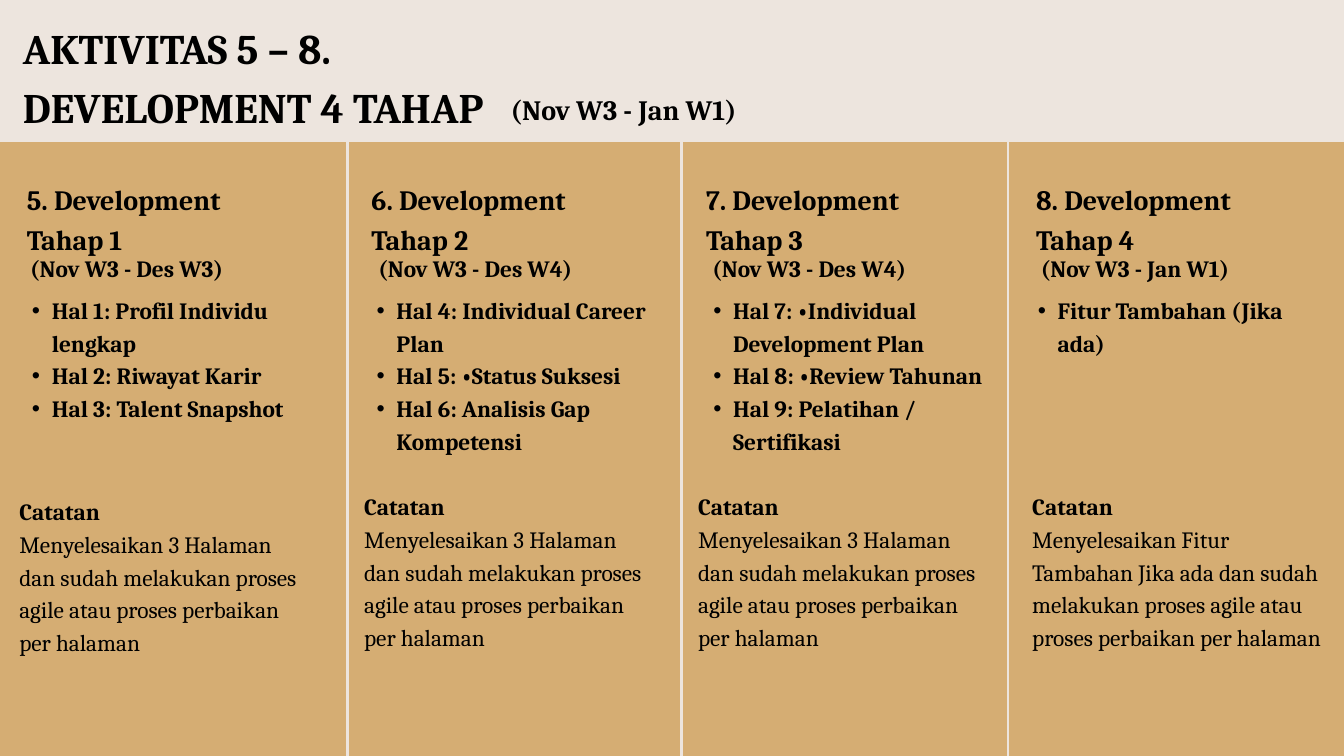
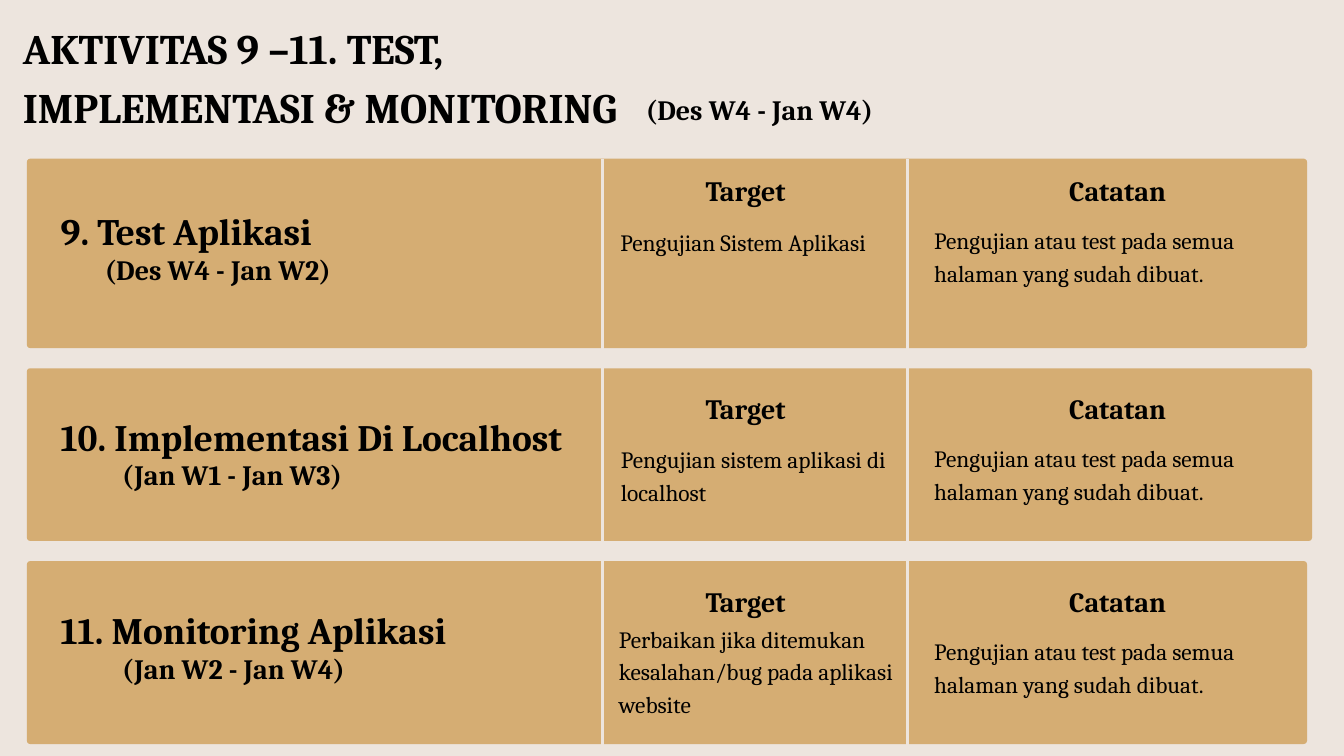
from dataclasses import dataclass
from lxml.etree import SubElement
from pptx import Presentation
from pptx.dml.color import RGBColor
from pptx.enum.shapes import MSO_CONNECTOR, MSO_SHAPE
from pptx.enum.text import MSO_ANCHOR, MSO_AUTO_SIZE, PP_ALIGN
from pptx.oxml.ns import qn
from pptx.util import Pt


# Colours and type sizes, shared by both slides
@dataclass(frozen=True)
class Theme:
    font: str = "Cambria"
    ink: str = "000000"
    sand: str = "D5AD73"
    cream: str = "EDE5DE"
    title: int = 45
    name: int = 40
    head: int = 30
    body: int = 25
    lead: float = 1.4  # line height relative to type size
    rule: int = 3


WIDE, HIGH = 1440, 810
BAND = 152


class Deck:
    def __init__(self, theme):
        self.theme = theme
        self.prs = Presentation()
        self.prs.slide_width, self.prs.slide_height = Pt(WIDE), Pt(HIGH)
        self.slide = None

    def start(self, back):
        self.slide = self.prs.slides.add_slide(self.prs.slide_layouts[5])
        fill = self.slide.background.fill
        fill.solid()
        fill.fore_color.rgb = RGBColor.from_string(back)

    def place(self, shape, x, y, w, h):
        shape.left, shape.top, shape.width, shape.height = Pt(x), Pt(y), Pt(w), Pt(h)

    def frame(self, shape):
        box = shape.text_frame
        box.word_wrap = True
        box.auto_size = MSO_AUTO_SIZE.NONE
        box.vertical_anchor = MSO_ANCHOR.TOP
        box.margin_left = box.margin_right = box.margin_top = box.margin_bottom = 0
        return box

    def add_text(self, para, text, size, bold=True, align=PP_ALIGN.LEFT):
        para.alignment = align
        para.line_spacing = Pt(size * self.theme.lead)
        para.space_before = Pt(0)
        run = para.add_run()
        run.text = text
        font = run.font
        font.name, font.size, font.bold = self.theme.font, Pt(size), bold
        font.color.rgb = RGBColor.from_string(self.theme.ink)

    def title(self, text, width, time, x):
        shape = self.slide.shapes.title
        self.place(shape, 24.5, 15, width, 125)
        self.add_text(self.frame(shape).paragraphs[0], text, self.theme.title)
        self.slide.shapes.element.append(shape.element)  # bring to front
        self.text(x, 93, 270, time, self.theme.head)

    def box(self, x, y, w, h):
        return self.frame(self.slide.shapes.add_textbox(Pt(x), Pt(y), Pt(w), Pt(h)))

    def text(self, x, y, w, text, size, bold=True, align=PP_ALIGN.LEFT, lines=1):
        box = self.box(x, y, w, lines * size * self.theme.lead)
        self.add_text(box.paragraphs[0], text, size, bold, align)

    def bullets(self, x, y, w, h, items):
        box = self.box(x, y, w, h)
        for i, item in enumerate(items):
            para = box.add_paragraph() if i else box.paragraphs[0]
            para.level = 1
            self.add_text(para, item, self.theme.body)
            props = para._p.get_or_add_pPr()
            props.set("marL", str(Pt(42.5)))
            props.set("indent", str(Pt(-21.25)))
            SubElement(props, qn("a:buFont")).set("typeface", "Arial")
            SubElement(props, qn("a:buChar")).set("char", "•")

    def note(self, x, y, w, h, head, text):
        box = self.box(x, y, w, h)
        self.add_text(box.paragraphs[0], head, self.theme.body, align=PP_ALIGN.JUSTIFY)
        self.add_text(box.add_paragraph(), text, self.theme.body, bold=False)

    def block(self, x, y, w, h, color, curve=0):
        kind = MSO_SHAPE.ROUNDED_RECTANGLE if curve else MSO_SHAPE.RECTANGLE
        shape = self.slide.shapes.add_shape(kind, Pt(x), Pt(y), Pt(w), Pt(h))
        if curve:
            shape.adjustments[0] = curve / min(w, h)
        shape.shadow.inherit = False
        shape.fill.solid()
        shape.fill.fore_color.rgb = RGBColor.from_string(color)
        shape.line.fill.background()

    def rule(self, x, top, end):
        line = self.slide.shapes.add_connector(
            MSO_CONNECTOR.STRAIGHT, Pt(x), Pt(top), Pt(x), Pt(end))
        line.line.width = Pt(self.theme.rule)
        line.line.color.rgb = RGBColor.from_string(self.theme.cream)
        SubElement(line.element.spPr, qn("a:effectLst"))


PAGES = ("Menyelesaikan 3 Halaman dan sudah melakukan proses agile "
         "atau proses perbaikan per halaman")
EXTRA = ("Menyelesaikan Fitur Tambahan Jika ada dan sudah melakukan proses agile "
         "atau proses perbaikan per halaman")
CHECK = "Pengujian atau test pada semua halaman yang sudah dibuat."

# Lefts of head, time, list and note; top of note; time; list; note
STAGES = [
    ((28.8, 32.4, 13, 20.7), 528, "(Nov W3 - Des W3)",
     ["Hal 1: Profil Individu lengkap", "Hal 2: Riwayat Karir",
      "Hal 3: Talent Snapshot"], PAGES),
    ((398, 405.4, 382.3, 390.2), 522.7, "(Nov W3 - Des W4)",
     ["Hal 4: Individual Career Plan", "Hal 5: •Status Suksesi",
      "Hal 6: Analisis Gap Kompetensi"], PAGES),
    ((756.5, 763.2, 743, 748), 522.7, "(Nov W3 - Des W4)",
     ["Hal 7: •Individual Development Plan", "Hal 8: •Review Tahunan",
      "Hal 9: Pelatihan / Sertifikasi"], PAGES),
    ((1110.2, 1115.3, 1090.8, 1106), 522.7, "(Nov W3 - Jan W1)",
     ["Fitur Tambahan (Jika ada)"], EXTRA),
]

# Card top, width and height; tops of name, heads and target;
# left of time; name, time and target; left of target
STEPS = [
    ((170, 1371.6, 203), (215.3, 180, 239), 112.3,
     "9. Test Aplikasi", "(Des W4 - Jan W2)", "Pengujian Sistem Aplikasi", 664.6),
    ((394.6, 1377, 185), (435.6, 413.3, 472.3), 131,
     "10. Implementasi Di Localhost", "(Jan W1 - Jan W3)",
     "Pengujian sistem aplikasi di localhost", 665.3),
    ((601.2, 1371.6, 196), (643, 620, 664.6), 131,
     "11. Monitoring Aplikasi", "(Jan W2 - Jan W4)",
     "Perbaikan jika ditemukan kesalahan/bug pada aplikasi website", 663),
]


def stages(deck):
    look = deck.theme
    deck.start(look.sand)
    # Title band and column rules
    deck.block(0, 0, WIDE, BAND, look.cream)
    for x in (372.2, 730, 1080):
        deck.rule(x, BAND, HIGH)
    deck.title("AKTIVITAS 5 – 8. DEVELOPMENT 4 TAHAP", 590, "(Nov W3 - Jan W1)", 547.2)
    # One column per stage
    for i, (lefts, low, time, items, note) in enumerate(STAGES, 1):
        head, when, points, notes = lefts
        deck.text(head, 190, 278, f"{i + 4}. Development Tahap {i}", look.head, lines=2)
        deck.text(when, 267, 260, time, look.body)
        deck.bullets(points, 312.5, 323 if i == 3 else 310, 172, items)
        deck.note(notes, low, 313, 172, "Catatan", note)


def steps(deck):
    look = deck.theme
    deck.start(look.cream)
    deck.title("AKTIVITAS 9 –11. TEST, IMPLEMENTASI & MONITORING", 708,
               "(Des W4 - Jan W4)", 692)
    # Cards, then the rules that cut them
    for (top, wide, high), *_ in STEPS:
        deck.block(28.8, top, wide, high, look.sand, curve=3.6)
    for x in (645.8, 972.7):
        deck.rule(x, 170, 798)
    # Name, time, target and note of each step
    for _, (name, head, goal), left, label, time, target, x in STEPS:
        deck.text(65, name, 560, label, look.name)
        deck.text(left, name + 49, 260, time, look.head)
        for at, word in ((692, "Target"), (1090.4, "Catatan")):
            deck.text(at, head, 214, word, look.head, align=PP_ALIGN.CENTER)
        deck.text(x, goal, 303, target, look.body, bold=False, lines=3)
        deck.text(1001, head + 57.6, 371.5, CHECK, look.body, bold=False, lines=2)


def main():
    deck = Deck(Theme())
    stages(deck)
    steps(deck)
    deck.prs.save("out.pptx")


if __name__ == "__main__":
    main()
